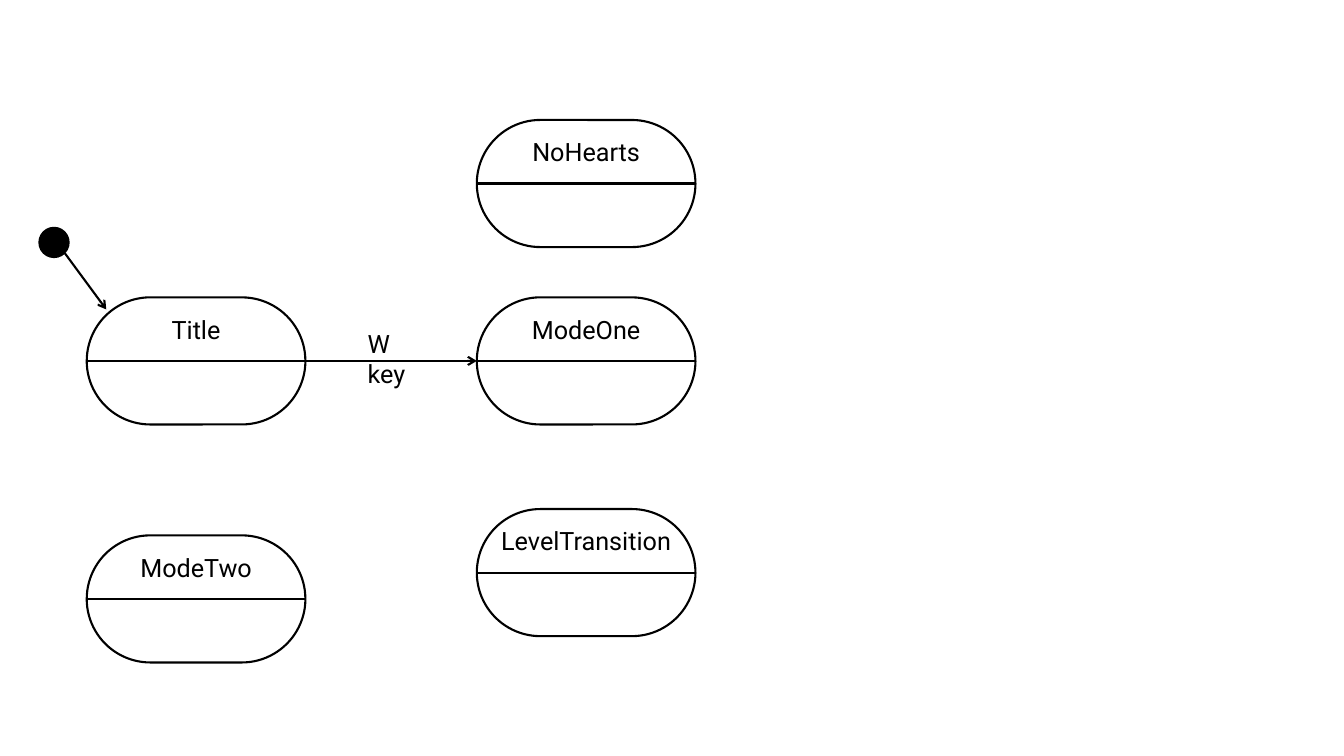
from lxml.etree import SubElement
from pptx import Presentation
from pptx.dml.color import RGBColor
from pptx.enum.shapes import MSO_CONNECTOR, MSO_SHAPE
from pptx.enum.text import MSO_ANCHOR, PP_ALIGN
from pptx.oxml.ns import qn
from pptx.util import Pt

BLACK = RGBColor(0, 0, 0)
FONT = "Roboto"
STATE_WIDTH, STATE_HEIGHT = 156.2, 90.8
LEFT_COLUMN, RIGHT_COLUMN = 62, 340.6
MIDDLE_ROW = 212.4
STATES = [
    ("Title", LEFT_COLUMN, MIDDLE_ROW),
    ("ModeOne", RIGHT_COLUMN, MIDDLE_ROW),
    ("ModeTwo", LEFT_COLUMN, 382.4),
    ("NoHearts", RIGHT_COLUMN, 85.7),
    ("LevelTransition", RIGHT_COLUMN, 363.6),
]


def add_line(shapes, start, end, arrow=False):
    line = shapes.add_connector(
        MSO_CONNECTOR.STRAIGHT, *(Pt(value) for value in (*start, *end)))
    line.line.color.rgb = BLACK
    line.line.width = Pt(1.5)
    if arrow:
        SubElement(line.line._get_or_add_ln(), qn("a:tailEnd"), type="arrow")
    SubElement(line._element.spPr, qn("a:effectLst"))


def add_label(shapes, text, left, top, width, height, anchor, align):
    box = shapes.add_textbox(Pt(left), Pt(top), Pt(width), Pt(height))
    frame = box.text_frame
    frame.word_wrap = True
    frame.vertical_anchor = anchor
    para = frame.paragraphs[0]
    para.alignment = align
    span = para.add_run()
    span.text = text
    span.font.name = FONT
    span.font.size = Pt(18)
    span.font.color.rgb = BLACK


def add_state(page, name, left, top):
    shapes = page.shapes.add_group_shape().shapes
    outline = shapes.add_shape(
        MSO_SHAPE.ROUNDED_RECTANGLE,
        Pt(left), Pt(top), Pt(STATE_WIDTH), Pt(STATE_HEIGHT))
    outline.adjustments[0] = 0.5
    outline.shadow.inherit = False
    outline.fill.background()
    outline.line.color.rgb = BLACK
    outline.line.width = Pt(1.5)
    half = STATE_HEIGHT / 2
    add_line(shapes, (left, top + half), (left + STATE_WIDTH, top + half))
    add_label(shapes, name, left, top, STATE_WIDTH, half,
              MSO_ANCHOR.MIDDLE, PP_ALIGN.CENTER)


def add_start(page, left, top, size):
    dot = page.shapes.add_shape(
        MSO_SHAPE.OVAL, Pt(left), Pt(top), Pt(size), Pt(size))
    dot.shadow.inherit = False
    dot.fill.solid()
    dot.fill.fore_color.rgb = BLACK
    dot.line.fill.background()
    corner = size * 0.85
    begin = left + corner, top + corner
    add_line(page.shapes, begin, (begin[0] + 29.5, begin[1] + 40), arrow=True)


def add_transition(page, text, left, right, middle):
    shapes = page.shapes.add_group_shape().shapes
    add_line(shapes, (left, middle), (right, middle), arrow=True)
    add_label(shapes, text, left + 37.4, middle - 26.7, 60.5, 29,
              MSO_ANCHOR.TOP, PP_ALIGN.LEFT)


def main():
    deck = Presentation()
    deck.slide_width, deck.slide_height = Pt(960), Pt(540)
    page = deck.slides.add_slide(deck.slide_layouts[6])
    for name, left, top in STATES:
        add_state(page, name, left, top)
    add_start(page, 27.4, 162, 22.4)
    add_transition(page, "W key", LEFT_COLUMN + STATE_WIDTH, RIGHT_COLUMN,
                   MIDDLE_ROW + STATE_HEIGHT / 2)
    deck.save("out.pptx")


if __name__ == "__main__":
    main()
